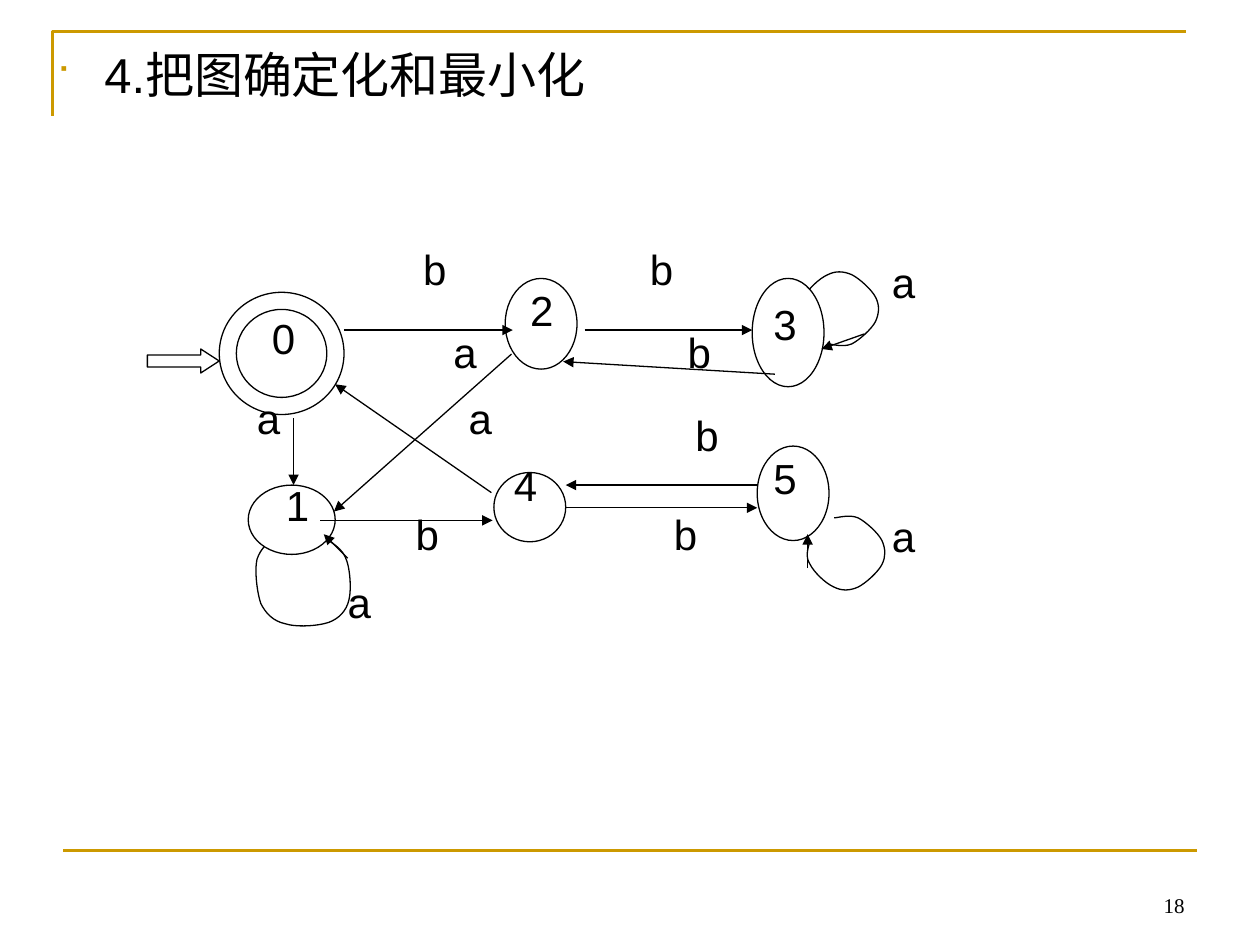
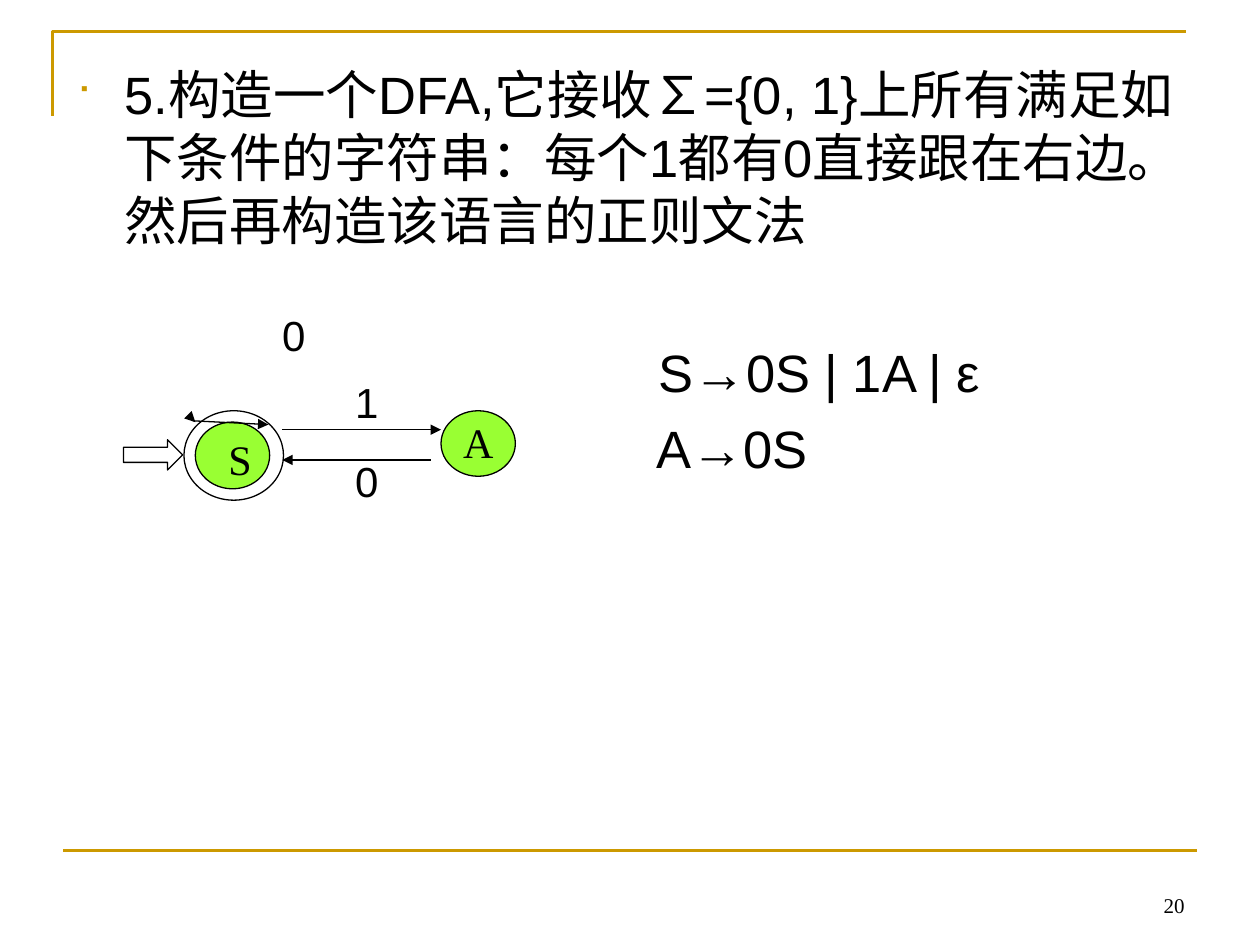
from dataclasses import dataclass
from lxml.etree import SubElement
from pptx import Presentation
from pptx.dml.color import RGBColor
from pptx.enum.shapes import MSO_CONNECTOR as Connector, MSO_SHAPE as Shape
from pptx.enum.text import MSO_ANCHOR as Anchor, PP_ALIGN as Align
from pptx.oxml.ns import qn
from pptx.util import Inches, Pt

COLORS = {"ink": "000000", "paper": "FFFFFF", "gold": "CC9900", "green": "99FF33"}
SANS, SERIF = "Arial", "Times New Roman"
COLUMNS, ROWS = 10, 7.5
COLUMN, ROW = Inches(10) // COLUMNS, int(Inches(7.5) / ROWS)
HANG = 0.38
LETTER = (0.38, 0.5)

SIDE_LOOP = [
    (0.04, 0.4), (0.02, 0.33), (0, 0.27), (0.04, 0.21), (0.07, 0.15), (0.16, 0.06),
    (0.23, 0.03), (0.29, 0), (0.35, 0), (0.42, 0.03), (0.48, 0.06), (0.58, 0.15),
    (0.61, 0.21), (0.64, 0.27), (0.64, 0.33), (0.61, 0.4), (0.58, 0.46), (0.48, 0.55),
    (0.42, 0.58), (0.35, 0.61), (0.26, 0.58), (0.23, 0.58),
]
BOTTOM_LOOP = [
    (0.18, 0.01), (0.11, 0.05), (0.05, 0.1), (0.02, 0.19), (0, 0.28), (0.02, 0.45),
    (0.05, 0.54), (0.09, 0.62), (0.15, 0.68), (0.24, 0.7), (0.33, 0.73), (0.5, 0.72),
    (0.59, 0.69), (0.67, 0.66), (0.73, 0.6), (0.75, 0.51), (0.77, 0.43), (0.76, 0.25),
    (0.72, 0.17), (0.68, 0.08), (0.56, 0.03), (0.53, 0),
]


@dataclass
class Box:
    left: float
    top: float
    width: float
    height: float

    def inner(self, left, top, width, height):
        return Box(self.left + left, self.top + top, width, height)

    def point(self, x, y):
        return round((self.left + x) * COLUMN), round((self.top + y) * ROW)

    def frame(self):
        return (*self.point(0, 0), round(self.width * COLUMN), round(self.height * ROW))


PAGE = Box(0, 0, COLUMNS, ROWS)


def color(name):
    return RGBColor.from_string(COLORS[name])


def set_line(item, name="ink", width=0.75):
    item.line.color.rgb = color(name)
    item.line.width = Pt(width)


def add_figure(page, kind, box, fill="paper"):
    figure = page.shapes.add_shape(kind, *box.frame())
    figure.shadow.inherit = False
    if fill:
        figure.fill.solid()
        figure.fill.fore_color.rgb = color(fill)
    else:
        figure.fill.background()
    set_line(figure)
    return figure


def add_line(page, box, start, end, name="ink", width=0.75, arrow=True):
    line = page.shapes.add_connector(Connector.STRAIGHT, *box.point(*start), *box.point(*end))
    set_line(line, name, width)
    if arrow:
        SubElement(line.line._get_or_add_ln(), qn("a:tailEnd"), type="triangle")
    SubElement(line._element.spPr, qn("a:effectLst"))


def add_outline(page, box, points, name="ink", width=0.75):
    corners = [box.point(*point) for point in points]
    builder = page.shapes.build_freeform(*corners[0], scale=1.0)
    builder.add_line_segments(corners[1:], close=False)
    outline = builder.convert_to_shape()
    outline.shadow.inherit = False
    outline.fill.background()
    set_line(outline, name, width)
    return outline


def add_loop(page, box, knots, flip=False):
    if flip:
        knots = [(x, box.height - y) for x, y in knots]
    outline = add_outline(page, box, knots)
    segments = list(outline._element.iter(qn("a:lnTo")))
    route = segments[0].getparent()
    for index, segment in enumerate(segments):
        if index % 3 == 0:
            curve = SubElement(route, qn("a:cubicBezTo"))
        curve.append(segment[0])
        route.remove(segment)


def add_text(page, box, lines, size, font=SANS, align=Align.LEFT, anchor=Anchor.TOP, wrap=True):
    frame = page.shapes.add_textbox(*box.frame()).text_frame
    frame.word_wrap = wrap
    frame.vertical_anchor = anchor
    frame.text = "\n".join(lines)
    for para in frame.paragraphs:
        para.alignment = align
        para.font.size = Pt(size)
        para.font.name = font
        para.font.color.rgb = color("ink")
    return frame.paragraphs


def add_letters(page, box, letters):
    for letter, spots in letters.items():
        for spot in spots:
            add_text(page, box.inner(*spot, *LETTER), [letter], 24, wrap=False)


def indent(para, left, first=0):
    props = para._p.get_or_add_pPr()
    props.set("marL", str(round(left * COLUMN)))
    props.set("indent", str(round(first * COLUMN)))
    return props


def add_question(page, box, lines, size):
    paras = add_text(page, box, lines, size)
    for para in paras:
        para.space_before = Pt(size / 4)
    props = indent(paras[0], HANG, -HANG)
    SubElement(SubElement(props, qn("a:buClr")), qn("a:srgbClr"), val=COLORS["gold"])
    SubElement(props, qn("a:buSzPct"), val="65000")
    SubElement(props, qn("a:buFont"), typeface="Wingdings", charset="2")
    SubElement(props, qn("a:buChar"), char="■")
    return paras


def add_frame(page, box, number):
    corner = box.inner(5 / 12, 0.25, 9, 0.67)
    add_outline(page, corner, [(0, corner.height), (0, 0), (corner.width, 0)], "gold", 1.5)
    add_line(page, box, (0.5, 6.75), (9.5, 6.75), "gold", 1.5, arrow=False)
    add_text(page, box.inner(7.17, 6.83, 2.33, 0.5), [number], 12, SERIF, Align.RIGHT, Anchor.BOTTOM)


def add_six_states(page, box):
    add_loop(page, box.inner(5.17, 0.27, 0.64, 0.61), SIDE_LOOP)
    add_loop(page, box.inner(0.85, 2.37, 0.77, 0.73), BOTTOM_LOOP)
    final_state = add_figure(page, Shape.DONUT, box.inner(0.57, 0.44, 0.99, 0.97))
    final_state.adjustments[0] = 0.14
    for state in (
        (2.84, 0.33, 0.57, 0.72), (4.8, 0.33, 0.57, 0.86), (2.75, 1.87, 0.57, 0.55),
        (4.84, 1.66, 0.57, 0.75), (0.8, 1.97, 0.69, 0.55),
    ):
        add_figure(page, Shape.OVAL, box.inner(*state))
    add_loop(page, box.inner(5.22, 2.2, 0.64, 0.61), SIDE_LOOP, flip=True)
    entry = add_figure(page, Shape.RIGHT_ARROW, box.inner(0, 0.89, 0.57, 0.19))
    entry.adjustments[1] = 0.77
    for start, end in (
        ((1.56, 0.74), (2.9, 0.74)), ((3.47, 0.74), (4.8, 0.74)),
        ((1.16, 1.44), (1.16, 1.97)), ((2.89, 0.93), (1.48, 2.18)),
        ((1.37, 2.25), (2.74, 2.25)), ((2.73, 2.03), (1.49, 1.17)),
        ((4.84, 1.97), (3.32, 1.97)), ((3.32, 2.15), (4.84, 2.15)),
        ((4.98, 1.09), (3.3, 0.99)), ((5.24, 2.63), (5.24, 2.36)),
        ((5.69, 0.77), (5.35, 0.89)), ((1.59, 2.55), (1.4, 2.36)),
    ):
        add_line(page, box, start, end)
    add_letters(page, box, {
        "0": [(0.89, 0.55)], "1": [(1, 1.88)], "2": [(2.94, 0.33)],
        "3": [(4.87, 0.44)], "4": [(2.81, 1.72)], "5": [(4.87, 1.66)],
        "a": [(0.77, 1.19), (1.49, 2.65), (2.33, 0.66), (2.45, 1.19), (5.81, 0.11), (5.81, 2.12)],
        "b": [(2.09, 0), (3.89, 0), (4.19, 0.66), (4.25, 1.32), (4.08, 2.11), (2.03, 2.11)],
    })


def add_two_states(page, box):
    start_state = box.inner(0.57, 0.94, 0.59, 0.53)
    next_state = box.inner(2.52, 0.85, 0.59, 0.52)
    add_figure(page, Shape.OVAL, box.inner(0.48, 0.85, 0.79, 0.71))
    for state in (start_state, next_state):
        add_figure(page, Shape.OVAL, state, "green")
    start_label = start_state.inner(0.06, 0.04, start_state.width, start_state.height)
    for label, place in (("S", start_label), ("A", next_state)):
        add_text(page, place, [label], 24, SERIF, Align.CENTER)
    for start, end in (
        ((0.56, 0.93), (0.57, 0.94)), ((1.26, 1), (2.52, 1)),
        ((2.44, 1.24), (1.26, 1.24)), ((0.55, 0.93), (1.15, 0.96)),
    ):
        add_line(page, box, start, end)
    add_letters(page, box, {"0": [(1.16, 0), (1.74, 1.16)], "1": [(1.74, 0.53)]})
    add_figure(page, Shape.RIGHT_ARROW, box.inner(0, 1.08, 0.47, 0.24), fill=None)


def build_minimise_slide(page):
    add_frame(page, PAGE, "18")
    add_question(page, PAGE.inner(0.35, 0.3, 9.21, 0.98), ["4.把图确定化和最小化"], 28)
    add_six_states(page, PAGE.inner(1.17, 1.88, 6.33, 3.15))


def build_grammar_slide(page):
    add_frame(page, PAGE, "20")
    question, start_rule, next_rule = add_question(page, PAGE.inner(0.51, 0.44, 9, 4.96), [
        "5.构造一个DFA,它接收∑={0, 1}上所有满足如下条件的字符串：每个1都有0直接跟在右边。然后再构造该语言的正则文法",
        "S→0S | 1A | ε",
        "A→0S",
    ], 30)
    indent(start_rule, 4.62)
    indent(next_rule, 4.6)
    start_rule.space_before = Pt(51)
    add_two_states(page, PAGE.inner(0.98, 2.41, 3.11, 1.66))


def main():
    deck = Presentation()
    deck.slide_width = round(COLUMNS * COLUMN)
    deck.slide_height = round(ROWS * ROW)
    for build in (build_minimise_slide, build_grammar_slide):
        build(deck.slides.add_slide(deck.slide_layouts[6]))
    deck.save("out.pptx")


if __name__ == "__main__":
    main()
